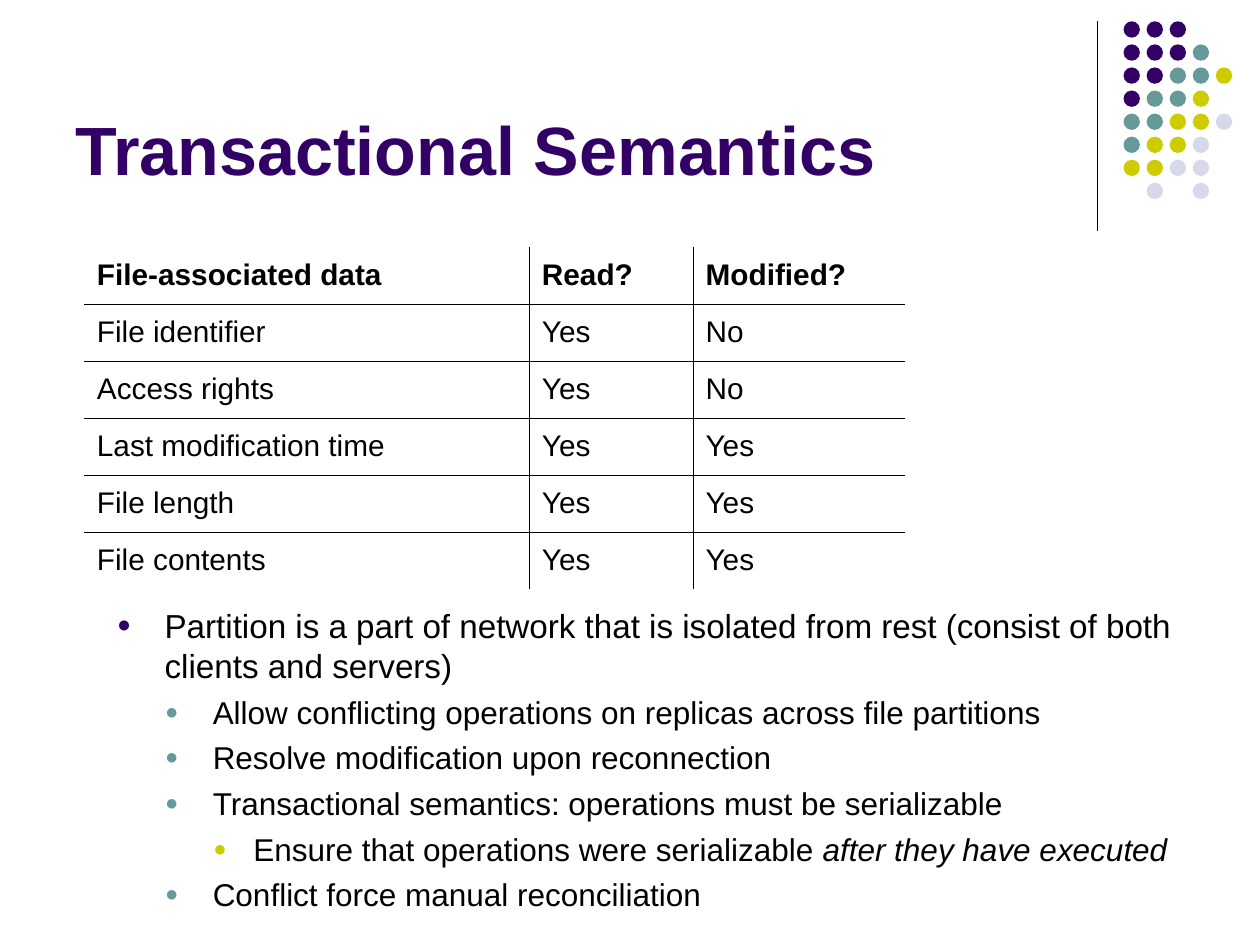
from lxml.etree import SubElement
from pptx import Presentation
from pptx.dml.color import RGBColor
from pptx.enum.shapes import MSO_CONNECTOR, MSO_SHAPE
from pptx.enum.text import MSO_ANCHOR as Anchor
from pptx.oxml.ns import qn
from pptx.util import Cm, Pt

PURPLE, TEAL, LIME, LILAC, BLACK = "330066", "669999", "CCCC00", "D8D8EC", "000000"

DOT_COLOURS = {"P": PURPLE, "T": TEAL, "L": LIME, "V": LILAC}
DOT_ROWS = ["PPP", "PPPT", "PPTTL", "PTTL", "TTLLV", "TLLV", "LLVV", " V V"]

FILE_DATA = [
    ("File-associated data", "Read?", "Modified?"),
    ("File identifier", "Yes", "No"),
    ("Access rights", "Yes", "No"),
    ("Last modification time", "Yes", "Yes"),
    ("File length", "Yes", "Yes"),
    ("File contents", "Yes", "Yes"),
]

# Each point: outline level, plain wording, wording in italics
POINTS = [
    (0, "Partition is a part of network that is isolated from rest "
        "(consist of both clients and servers)", ""),
    (1, "Allow conflicting operations on replicas across file partitions", ""),
    (1, "Resolve modification upon reconnection", ""),
    (1, "Transactional semantics: operations must be serializable", ""),
    (2, "Ensure that operations were serializable ", "after they have executed"),
    (1, "Conflict force manual reconciliation", ""),
]

# Each level: bullet colour, text size, space before, left margin, hanging indent
LEVELS = [
    (PURPLE, 19, 4.8, 0.96, 0.96),
    (TEAL, 18, 4.5, 1.93, 0.96),
    (LIME, 18, 4.5, 2.75, 0.81),
]


def colour(hex_value):
    return RGBColor.from_string(hex_value)


def apply(target, formats):
    for name, value in formats.items():
        setattr(target, name, value)


class SlideBuilder:
    font_name = "Arial"
    cell_size = 17
    cell_rule = Pt(0.45)

    def __init__(self, slide):
        self.slide = slide
        self.shapes = slide.shapes

    def run(self, paragraph, wording, size, hex_value=BLACK, **formats):
        run = paragraph.add_run()
        run.text = wording
        apply(run.font, {"name": self.font_name, "size": Pt(size), **formats})
        run.font.color.rgb = colour(hex_value)

    def text_frame(self, left, top, width, height, anchor):
        box = self.shapes.add_textbox(Cm(left), Cm(top), Cm(width), Cm(height))
        apply(box.text_frame, {"word_wrap": True, "vertical_anchor": anchor})
        return box.text_frame

    def title(self, wording, *place):
        heading = self.text_frame(*place, Anchor.BOTTOM).paragraphs[0]
        self.run(heading, wording, 39, PURPLE, bold=True)

    def rule(self, x, top, bottom):
        rule = self.shapes.add_connector(
            MSO_CONNECTOR.STRAIGHT, Cm(x), Cm(top), Cm(x), Cm(bottom))
        rule.line.width = Pt(0.75)
        rule.line.color.rgb = colour(BLACK)
        SubElement(rule._element.spPr, qn("a:effectLst"))

    def dot(self, left, top, size, hex_value):
        dot = self.shapes.add_shape(
            MSO_SHAPE.OVAL, Cm(left), Cm(top), Cm(size), Cm(size))
        dot.shadow.inherit = False
        dot.fill.solid()
        dot.fill.fore_color.rgb = colour(hex_value)
        dot.line.fill.background()

    def dot_pattern(self, left, top, pitch=0.465, size=0.33):
        for row, keys in enumerate(DOT_ROWS):
            for column, key in enumerate(keys):
                if key in DOT_COLOURS:
                    self.dot(left + column * pitch, top + row * pitch,
                             size, DOT_COLOURS[key])

    def borders(self, cell, drawn):
        """Draw the sides that are true in drawn and clear the others."""
        properties = cell._tc.get_or_add_tcPr()
        for side, visible in drawn.items():
            border = SubElement(properties, qn(f"a:ln{side}"), w=str(self.cell_rule))
            if visible:
                fill = SubElement(border, qn("a:solidFill"))
                SubElement(fill, qn("a:srgbClr"), val=BLACK)
            else:
                SubElement(border, qn("a:noFill"))

    def table(self, rows, left, top, column_widths, row_height):
        last_row, last_column = len(rows) - 1, len(column_widths) - 1
        table = self.shapes.add_table(
            len(rows), len(column_widths), Cm(left), Cm(top),
            Cm(sum(column_widths)), Cm(row_height * len(rows))).table
        apply(table, {"first_row": False, "horz_banding": False})
        for column, width in zip(table.columns, column_widths):
            column.width = Cm(width)
        for r, entries in enumerate(rows):
            table.rows[r].height = Cm(row_height)
            for c, entry in enumerate(entries):
                cell = table.cell(r, c)
                cell.vertical_anchor = Anchor.MIDDLE
                self.borders(cell, {"L": c > 0, "R": c < last_column,
                                    "T": r > 0, "B": r < last_row})
                cell.fill.background()
                paragraph = cell.text_frame.paragraphs[0]
                paragraph.space_before = Pt(4.2)
                self.run(paragraph, entry, self.cell_size, bold=r == 0)

    def bullet(self, paragraph, hex_value, margin, hanging):
        properties = paragraph._p.get_or_add_pPr()
        properties.set("marL", str(Cm(margin)))
        properties.set("indent", str(-Cm(hanging)))
        bullet_colour = SubElement(properties, qn("a:buClr"))
        SubElement(bullet_colour, qn("a:srgbClr"), val=hex_value)
        SubElement(properties, qn("a:buSzPct"), val="70000")
        SubElement(properties, qn("a:buFont"), typeface=self.font_name)
        SubElement(properties, qn("a:buChar"), char="●")

    def outline(self, points, *place):
        frame = self.text_frame(*place, Anchor.TOP)
        for index, (level, plain, italic) in enumerate(points):
            paragraph = frame.add_paragraph() if index else frame.paragraphs[0]
            hex_value, size, space, margin, hanging = LEVELS[level]
            apply(paragraph, {"level": level, "space_before": Pt(space)})
            self.bullet(paragraph, hex_value, margin, hanging)
            self.run(paragraph, plain, size)
            if italic:
                self.run(paragraph, italic, size, italic=True)


def main():
    deck = Presentation()
    apply(deck, {"slide_width": Cm(25.4), "slide_height": Cm(19.05)})
    builder = SlideBuilder(deck.slides.add_slide(deck.slide_layouts[6]))
    builder.rule(22.12, 0.43, 4.65)
    builder.dot_pattern(22.65, 0.43)
    builder.title("Transactional Semantics", 1.27, 0.33, 20.95, 3.61)
    builder.table(FILE_DATA, 1.7, 4.98, (8.97, 3.3, 4.27), 1.15)
    builder.outline(POINTS, 2.11, 12.07, 22.43, 6.55)
    deck.save("out.pptx")


if __name__ == "__main__":
    main()
